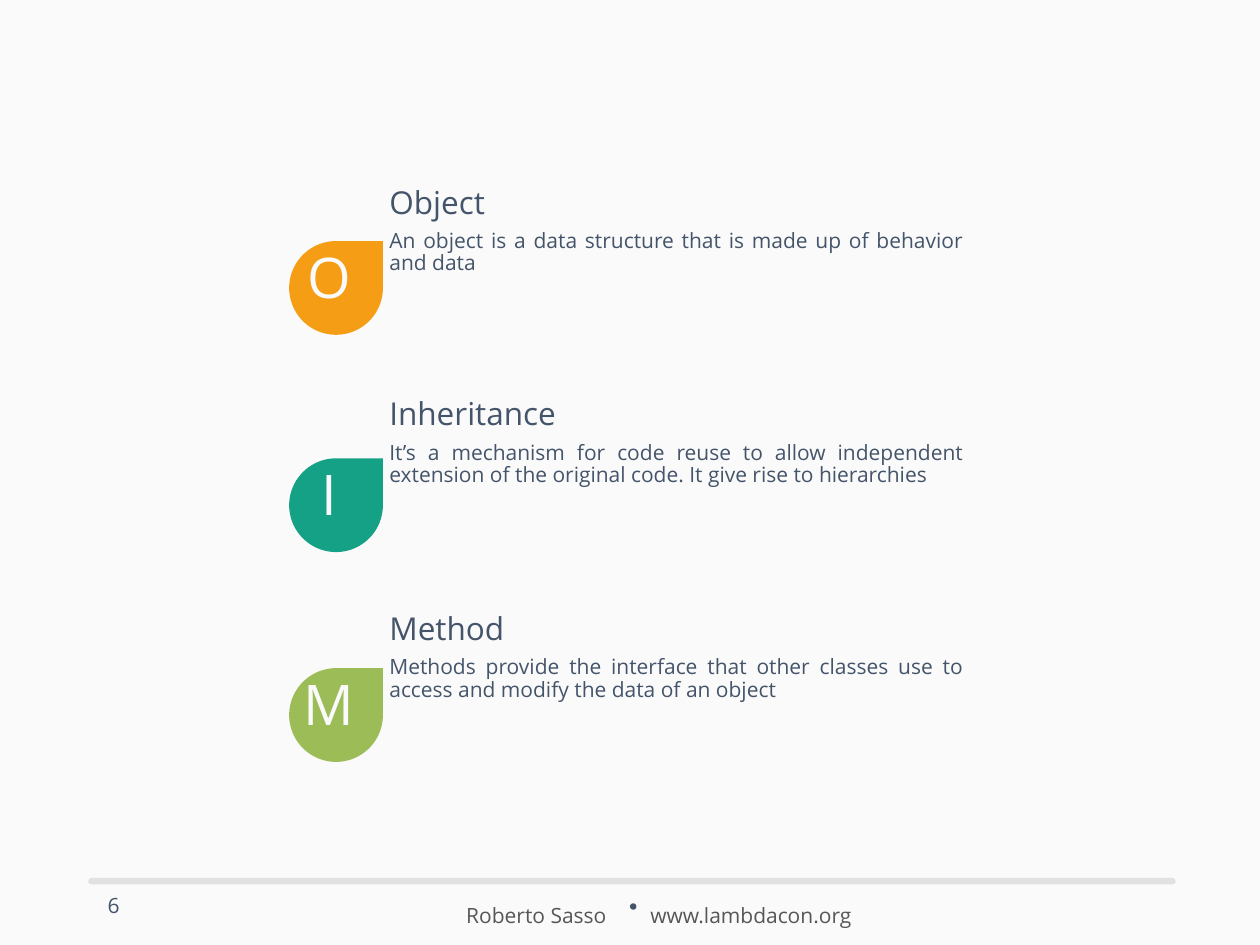
"""Build a slide that defines object, inheritance and method."""
from dataclasses import dataclass

from lxml import etree
from pptx import Presentation
from pptx.dml.color import RGBColor
from pptx.enum.shapes import MSO_SHAPE
from pptx.enum.text import MSO_ANCHOR, PP_ALIGN
from pptx.oxml.ns import qn
from pptx.util import Cm, Pt

BAR, DOT, DROP = MSO_SHAPE.ROUNDED_RECTANGLE, MSO_SHAPE.OVAL, MSO_SHAPE.TEAR
LEFT, CENTER, JUSTIFY = PP_ALIGN.LEFT, PP_ALIGN.CENTER, PP_ALIGN.JUSTIFY
TOP, MIDDLE = MSO_ANCHOR.TOP, MSO_ANCHOR.MIDDLE


@dataclass(frozen=True)
class Theme:
    font: str = "Open Sans"
    paper: str = "FAFAFA"
    ink: str = "44546A"
    footer: str = "565656"
    rule: str = "E1E1E1"
    orange: str = "F49D15"
    teal: str = "15A185"
    green: str = "9BBC57"
    letter: int = 32
    title: int = 18
    body: int = 12


class Deck:
    def __init__(self, prs, theme):
        self.theme = theme
        self.s = prs.slides.add_slide(prs.slide_layouts[6])
        fill = self.s.background.fill
        fill.solid()
        fill.fore_color.rgb = RGBColor.from_string(theme.paper)

    def shape(self, kind, x, y, w, h, color):
        sp = self.s.shapes.add_shape(kind, Cm(x), Cm(y), Cm(w), Cm(h))
        sp.shadow.inherit = False
        sp.fill.solid()
        sp.fill.fore_color.rgb = RGBColor.from_string(color)
        sp.line.fill.background()
        return sp

    def text(self, text, x, y, w, h, size, color, align=LEFT, spacing=1.0,
             anchor=TOP, inset=0, tab=None):
        tf = self.s.shapes.add_textbox(Cm(x), Cm(y), Cm(w), Cm(h)).text_frame
        tf.word_wrap = True
        tf.vertical_anchor = anchor
        tf.margin_left = tf.margin_right = Cm(inset)
        tf.margin_top = tf.margin_bottom = Cm(inset)
        tf.text = text
        p = tf.paragraphs[0]
        p.alignment = align
        p.line_spacing = spacing
        if tab:
            tabs = etree.SubElement(p._p.get_or_add_pPr(), qn("a:tabLst"))
            etree.SubElement(tabs, qn("a:tab"), pos=str(Cm(tab)), algn="l")
        for r in p.runs:
            r.font.name = self.theme.font
            r.font.size = Pt(size)
            r.font.color.rgb = RGBColor.from_string(color)

    def concept(self, title, title_w, body, color, title_y, drop_y):
        t = self.theme
        self.text(title, 7.85, title_y, title_w, 1.09, t.title, t.ink)
        self.text(body, 7.85, title_y + 0.96, 11.58, 1.4, t.body, t.ink,
                  JUSTIFY, 0.9)
        self.shape(DROP, 5.83, drop_y, 1.89, 1.89, color)
        self.text(title[0], 6, drop_y + 0.03, 1.27, 1.78, t.letter, t.paper,
                  CENTER)

    def footer(self, number, text):
        t = self.theme
        bar = self.shape(BAR, 1.78, 17.7, 21.92, 0.13, t.rule)
        bar.adjustments[0] = 0.5
        self.text(text, 9.27, 17.81, 8.2, 0.86, t.body, t.footer,
                  spacing=1.5, inset=0.13, tab=3.71)
        self.shape(DOT, 12.7, 18.21, 0.13, 0.13, t.ink)
        self.text(number, 1.63, 17.81, 1.32, 0.86, t.body, t.ink, CENTER,
                  anchor=MIDDLE)


def main():
    prs = Presentation()
    prs.slide_width, prs.slide_height = Cm(25.4), Cm(19.05)
    theme = Theme()
    deck = Deck(prs, theme)
    concepts = [
        ("Object", 2.16,
         "An object is a data structure that is made up of behavior and data",
         theme.orange, 3.68, 4.86),
        ("Inheritance", 3.51,
         "It’s a mechanism for code reuse to allow independent extension of "
         "the original code. It give rise to hierarchies",
         theme.teal, 7.95, 9.24),
        ("Method", 2.51,
         "Methods provide the interface that other classes use to access and "
         "modify the data of an object",
         theme.green, 12.27, 13.47),
    ]
    for concept in concepts:
        deck.concept(*concept)
    deck.footer("6", "Roberto Sasso\twww.lambdacon.org")
    prs.save("out.pptx")


if __name__ == "__main__":
    main()
